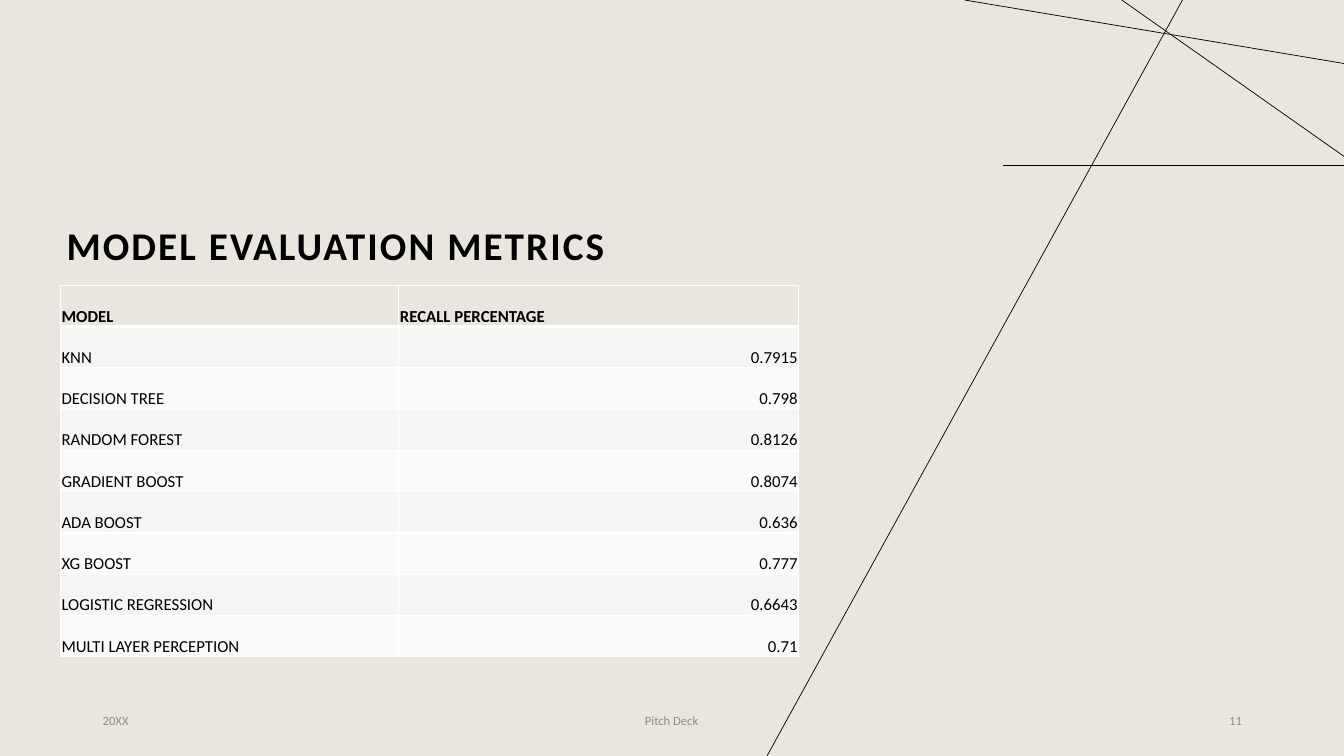
from pptx import Presentation
from pptx.dml.color import RGBColor
from pptx.enum.shapes import MSO_CONNECTOR as Connector
from pptx.enum.text import MSO_ANCHOR as Anchor, PP_ALIGN as Align
from pptx.oxml import parse_xml
from pptx.oxml.ns import nsdecls
from pptx.util import Cm, Pt

PAPER, INK, GREY, WHITE = "E9E6DF", "000000", "8C8C8C", "FFFFFF"
BANDS = ["FBFAF9", "F7F5F3"]


def color(value):
    return RGBColor.from_string(value)


def write(frame, text, size, ink, align=Align.LEFT, bold=False):
    frame.text = text
    paragraph = frame.paragraphs[0]
    paragraph.alignment = align
    font = paragraph.runs[0].font
    font.name, font.size, font.bold = "Calibri", Pt(size), bold
    font.color.rgb = color(ink)
    return paragraph


deck = Presentation()
deck.slide_width, deck.slide_height = Cm(33.87), Cm(19.05)
slide = deck.slides.add_slide(deck.slide_layouts[5])
slide.background.fill.solid()
slide.background.fill.fore_color.rgb = color(PAPER)

rays = [
    (25.27, 4.17, 33.87, 4.17),
    (29.8, 0, 19.33, 19.05),
    (28.27, 0, 33.87, 3.94),
    (24.31, 0, 33.87, 1.6),
]
for ends in rays:
    ray = slide.shapes.add_connector(Connector.STRAIGHT, *map(Cm, ends))
    ray.line.color.rgb = color(INK)
    ray.line.width = Pt(0.5)
    ray._element.spPr.append(parse_xml(f"<a:effectLst {nsdecls('a')}/>"))

title = slide.shapes.title
title.left, title.top, title.width, title.height = Cm(1.68), Cm(4.65), Cm(23.04), Cm(2.27)
heading = title.text_frame
heading.margin_left, heading.margin_right = 0, Cm(0.25)
heading.margin_top = heading.margin_bottom = Cm(0.13)
heading.vertical_anchor = Anchor.BOTTOM
heading_line = write(heading, "MODEL EVALUATION METRICS", 28, INK, bold=True)
heading_line.line_spacing = 0.9
heading_line.runs[0]._r.get_or_add_rPr().set("spc", "150")

footers = [
    ("20XX", 2.34, 7.62, Align.LEFT),
    ("Pitch Deck", 14.5, 4.85, Align.CENTER),
    ("11", 23.93, 7.62, Align.RIGHT),
]
for text, left, width, align in footers:
    footer = slide.shapes.add_textbox(Cm(left), Cm(17.65), Cm(width), Cm(1.02)).text_frame
    footer.word_wrap = True
    footer.vertical_anchor = Anchor.MIDDLE
    write(footer, text, 9, GREY, align)

recalls = [
    ("MODEL", "RECALL PERCENTAGE"),
    ("KNN", "0.7915"),
    ("DECISION TREE", "0.798"),
    ("RANDOM FOREST", "0.8126"),
    ("GRADIENT BOOST", "0.8074"),
    ("ADA BOOST", "0.636"),
    ("XG BOOST", "0.777"),
    ("LOGISTIC REGRESSION", "0.6643"),
    ("MULTI LAYER PERCEPTION", "0.71"),
]
metrics = slide.shapes.add_table(
    len(recalls), 2, Cm(1.52), Cm(7.19), Cm(18.61), Cm(9.36)
).table
metrics.columns[0].width, metrics.columns[1].width = Cm(8.53), Cm(10.08)

for row, entry in enumerate(recalls):
    metrics.rows[row].height = Cm(1.04)
    is_header = row == 0
    for column, text in enumerate(entry):
        cell = metrics.cell(row, column)
        cell.margin_left = cell.margin_right = cell.margin_top = Cm(0.03)
        cell.margin_bottom = 0
        cell.vertical_anchor = Anchor.BOTTOM
        align = Align.RIGHT if column and not is_header else Align.LEFT
        write(cell.text_frame, text, 12, INK, align, is_header)
        for side in "LRTB":
            heavy = (row, side) in [(0, "B"), (1, "T")]
            cell._tc.get_or_add_tcPr().append(parse_xml(
                f'<a:ln{side} {nsdecls("a")} w="{Pt(3 if heavy else 1)}">'
                f'<a:solidFill><a:srgbClr val="{WHITE}"/></a:solidFill></a:ln{side}>'
            ))
        cell.fill.solid()
        cell.fill.fore_color.rgb = color(PAPER if is_header else BANDS[row % 2])

deck.save("out.pptx")
